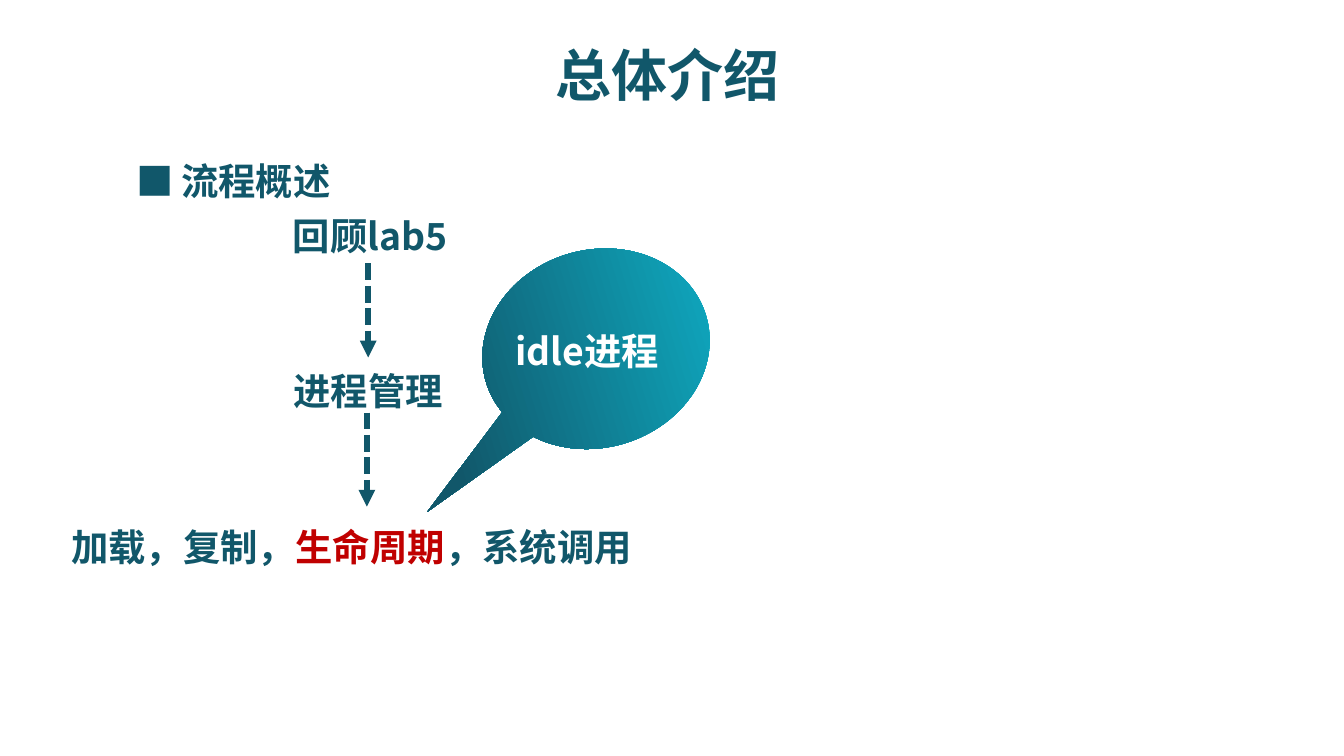
from lxml import etree
from pptx import Presentation
from pptx.dml.color import RGBColor
from pptx.enum.dml import MSO_LINE
from pptx.enum.shapes import MSO_CONNECTOR, MSO_SHAPE
from pptx.enum.text import PP_ALIGN
from pptx.oxml.ns import qn
from pptx.util import Inches, Pt

LEFT, MID = PP_ALIGN.LEFT, PP_ALIGN.CENTER
LINE = MSO_CONNECTOR.STRAIGHT
CALLOUT = MSO_SHAPE.OVAL_CALLOUT
DASH = MSO_LINE.SQUARE_DOT
TEAL, CYAN, RED, WHITE = "11576A", "0EB1C8", "C00000", "FFFFFF"
SANS, SQUARE = "Noto Sans CJK SC", "Noto Sans CJK JP"


def color(code):
    return RGBColor.from_string(code)


def write(frame, runs, size=20, font=SANS, align=LEFT, indent=0.3):
    para = frame.paragraphs[0]
    para.alignment = align
    props = para._p.get_or_add_pPr()
    props.set("marL", str(Inches(indent)))
    props.set("indent", str(-Inches(indent)))
    for text, tint in runs:
        run = para.add_run()
        run.text = text
        run.font.size = Pt(size)
        run.font.bold = True
        run.font.name = font
        run.font.color.rgb = color(tint)
        east = etree.SubElement(run.font._element, qn("a:ea"))
        east.set("typeface", font)


class Board:
    """Holds the style and the current slide."""

    def __init__(self, deck):
        self.slide = deck.slides.add_slide(deck.slide_layouts[6])
        self.shapes = self.slide.shapes

    def label(self, box, *runs, **style):
        frame = self.shapes.add_textbox(*map(Inches, box)).text_frame
        frame.word_wrap = True
        write(frame, runs, **style)

    def arrow(self, x, top, bottom):
        line = self.shapes.add_connector(LINE, *map(Inches, (x, top, x, bottom)))
        line.line.color.rgb = color(TEAL)
        line.line.width = Pt(3)
        line.line.dash_style = DASH
        tail = etree.SubElement(line.line._get_or_add_ln(), qn("a:tailEnd"))
        tail.set("type", "triangle")
        etree.SubElement(line._element.spPr, qn("a:effectLst"))

    def bubble(self, box, turn, tip):
        shape = self.shapes.add_shape(CALLOUT, *map(Inches, box))
        shape.shadow.inherit = False
        shape.rotation = turn
        shape._element.spPr.find(qn("a:xfrm")).set("flipH", "1")
        for i, value in enumerate(tip):
            shape.adjustments[i] = value
        shape.line.fill.background()
        shape.fill.gradient()
        shape.fill.gradient_angle = 270
        for stop, tint, place in zip(shape.fill.gradient_stops, (CYAN, TEAL), (0, 1)):
            stop.color.rgb = color(tint)
            stop.position = place


deck = Presentation()
deck.slide_width = Inches(10)
deck.slide_height = deck.slide_width * 9 // 16
board = Board(deck)

board.label((0.47, 0.25, 9, 0.56), ("总体介绍", TEAL), size=30, align=MID, indent=0)
board.label((1.25, 1.13, 1.56, 0.47), ("流程概述", TEAL))
board.label((0.92, 1.13, 0.47, 0.44), ("■", TEAL), font=SQUARE, indent=0.38)
board.label((2.08, 1.54, 1.76, 0.45), ("回顾lab5", TEAL))
board.label((0.43, 3.85, 4.72, 0.47),
            ("加载，复制，", TEAL), ("生命周期", RED), ("，系统调用", TEAL))
board.label((1.98, 2.69, 1.52, 0.45), ("进程管理", TEAL), align=MID)
board.arrow(2.74, 1.96, 2.66)
board.arrow(2.73, 3.07, 3.77)
board.bubble((3.7, 1.74, 1.47, 1.71), 73, (-0.54, 0.91))
board.label((3.61, 2.39, 1.52, 0.45), ("idle进程", WHITE), align=MID)

deck.save("out.pptx")
